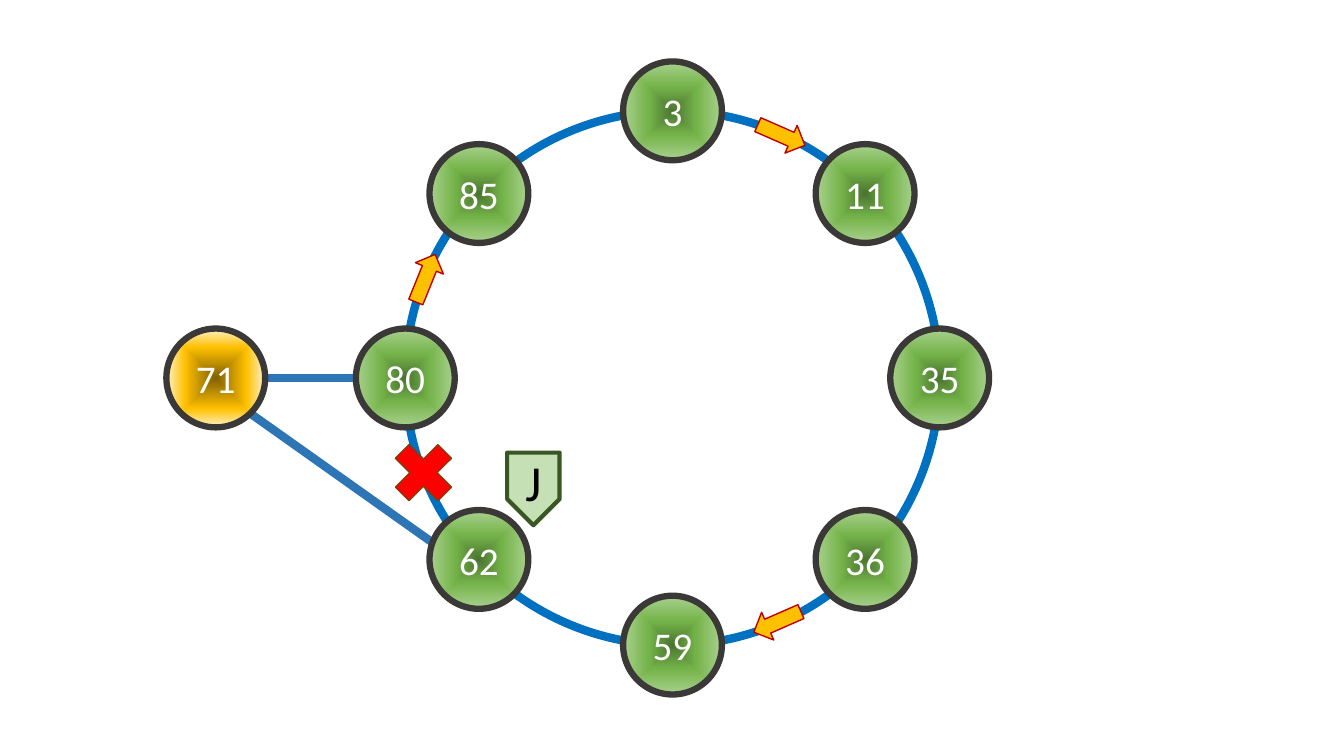
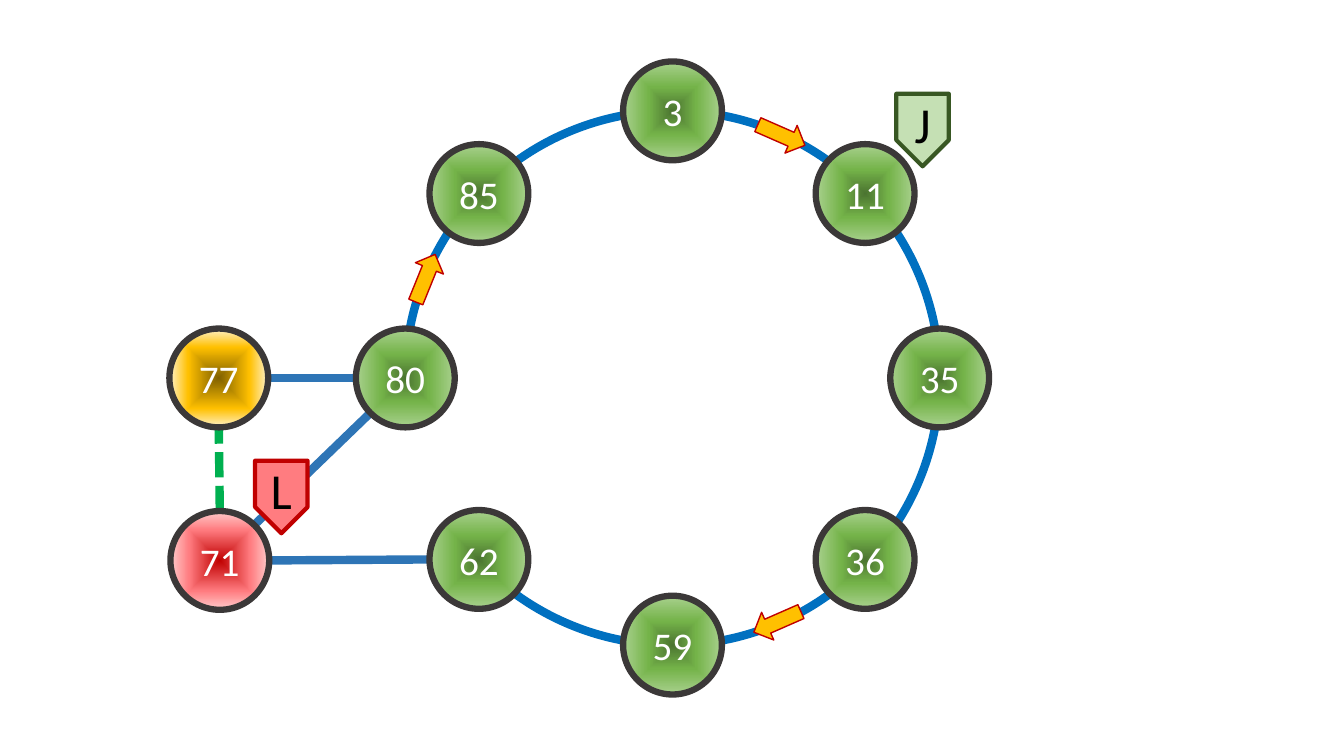
"""Two slides of a node ring: a new node joins between two neighbours."""
from lxml import etree
from pptx import Presentation
from pptx.dml.color import RGBColor
from pptx.enum import dml, shapes, text
from pptx.oxml import ns
from pptx.util import Inches, Pt

FONT = "Calibri"
WHITE = RGBColor(0xFF, 0xFF, 0xFF)
BLACK = RGBColor(0x00, 0x00, 0x00)
GREY = RGBColor(0x3B, 0x38, 0x38)
BLUE = RGBColor(0x00, 0x70, 0xC0)
STEEL = RGBColor(0x2E, 0x75, 0xB6)
GREEN = RGBColor(0x00, 0xB0, 0x50)
GOLD = RGBColor(0xFF, 0xC0, 0x00)
BRICK = RGBColor(0xC0, 0x00, 0x00)
RED = RGBColor(0xFF, 0x00, 0x00)
BROWN = RGBColor(0x84, 0x3C, 0x0B)
PINK = RGBColor(0xFF, 0x7C, 0x80)
MINT = RGBColor(0xC5, 0xE0, 0xB4)
MOSS = RGBColor(0x38, 0x57, 0x23)

LEAF = ((0, RGBColor(0x4B, 0x74, 0x30)), (48, RGBColor(0x74, 0xB3, 0x49)),
        (100, RGBColor(0xA9, 0xD1, 0x8E)))
AMBER = ((0, RGBColor(0x80, 0x60, 0x00)), (62, GOLD),
         (100, RGBColor(0xFF, 0xF2, 0xCC)))
ROSE = ((0, BRICK), (62, PINK), (100, RGBColor(0xFF, 0xCC, 0xCC)))

MID = (6.67, 3.75)
RADIUS = 2.65
NODE = 0.98
WEST, EAST, NORTH, SOUTH = 4.75, 8.58, 1.92, 5.55
NODES = (
    ("3", MID[0], MID[1] - RADIUS), ("35", MID[0] + RADIUS, MID[1]),
    ("59", MID[0], MID[1] + RADIUS), ("80", MID[0] - RADIUS, MID[1]),
    ("85", WEST, NORTH), ("11", EAST, NORTH),
    ("36", EAST, SOUTH), ("62", WEST, SOUTH),
)
ARROWS = ((7.75, 1.34, 23.7), (7.71, 6.17, 156.3), (4.22, 2.76, 292.1))
GAP = (
    (4.01, 4.25), (4.14, 4.24), (4.33, 4.4), (4.5, 4.58), (4.59, 4.77),
    (4.57, 4.92), (4.49, 5.11), (4.38, 5.21), (4.28, 5.11), (4.04, 4.86),
    (3.91, 4.71), (3.85, 4.59), (3.92, 4.46),
)


def paint(shape, fill, line, width):
    """Set fill and outline, without a shadow."""
    shape.shadow.inherit = False
    if fill is None:
        shape.fill.background()
    else:
        shape.fill.solid()
        shape.fill.fore_color.rgb = fill
    shape.line.color.rgb = line
    shape.line.width = Pt(width)


def add_form(home, kind, x, y, wide, high, fill, line, width, turn=0):
    """Add a preset shape centred on a point."""
    shape = home.add_shape(kind, Inches(x - wide / 2), Inches(y - high / 2),
                           Inches(wide), Inches(high))
    shape.rotation = turn
    paint(shape, fill, line, width)
    return shape


def write(frame, label, size, color):
    """Write one centred line of text."""
    frame.word_wrap = True
    para = frame.paragraphs[0]
    para.text = label
    para.alignment = text.PP_ALIGN.CENTER
    para.font.name = FONT
    para.font.size = Pt(size)
    para.font.color.rgb = color


def glow(shape, stops):
    """Fill an unfilled shape with a gradient from its centre outwards."""
    props = shape.element.spPr
    grad = etree.Element(ns.qn("a:gradFill"), rotWithShape="1")
    steps = etree.SubElement(grad, ns.qn("a:gsLst"))
    for pos, color in stops:
        stop = etree.SubElement(steps, ns.qn("a:gs"), pos=str(pos * 1000))
        etree.SubElement(stop, ns.qn("a:srgbClr"), val=str(color))
    way = etree.SubElement(grad, ns.qn("a:path"), {"path": "shape"})
    etree.SubElement(way, ns.qn("a:fillToRect"),
                     {side: "50000" for side in "ltrb"})
    props.replace(props.find(ns.qn("a:noFill")), grad)


def add_node(slide, label, x, y, stops=LEAF):
    """Add a numbered round node."""
    node = add_form(slide.shapes, shapes.MSO_SHAPE.OVAL, x, y, NODE, NODE,
                    None, GREY, 4.5)
    glow(node, stops)
    node.text_frame.vertical_anchor = text.MSO_ANCHOR.MIDDLE
    write(node.text_frame, label, 28, WHITE)


def add_link(slide, start, end, color=STEEL, dash=None):
    """Add a straight thick line between two points."""
    link = slide.shapes.add_connector(
        shapes.MSO_CONNECTOR.STRAIGHT, *(Inches(v) for v in (*start, *end)))
    link.line.color.rgb = color
    link.line.width = Pt(6)
    if dash:
        link.line.dash_style = dash
    etree.SubElement(link.element.spPr, ns.qn("a:effectLst"))


def add_badge(slide, label, x, y, fill, line):
    """Add a lettered tag that points down."""
    group = slide.shapes.add_group_shape().shapes
    add_form(group, shapes.MSO_SHAPE.PENTAGON, x, y, 0.72, 0.52,
             fill, line, 3, 90)
    box = group.add_textbox(Inches(x - 0.26), Inches(y - 0.42),
                            Inches(0.52), Inches(0.71))
    write(box.text_frame, label, 36, BLACK)


def add_gap(slide):
    """Blank out the ring between nodes 80 and 62."""
    first, *rest = [(Inches(x), Inches(y)) for x, y in GAP]
    pen = slide.shapes.build_freeform(*first)
    pen.add_line_segments(rest, close=True)
    paint(pen.convert_to_shape(), WHITE, WHITE, 1)


def add_ring(slide, broken=False):
    """Add the ring with its nodes and direction arrows."""
    add_form(slide.shapes, shapes.MSO_SHAPE.OVAL, *MID, 2 * RADIUS, 2 * RADIUS,
             None, BLUE, 6)
    if broken:
        add_gap(slide)
    for node in NODES:
        add_node(slide, *node)
    for x, y, turn in ARROWS:
        add_form(slide.shapes, shapes.MSO_SHAPE.RIGHT_ARROW, x, y, 0.51, 0.3,
                 GOLD, BRICK, 1, turn)


def draw_join(slide):
    """Draw node 71 as it joins between 80 and 62."""
    add_link(slide, (2.48, 4.1), (4.37, 5.44))
    add_link(slide, (2.63, 3.75), (3.53, 3.75))
    add_ring(slide)
    add_node(slide, "71", 2.14, MID[1], AMBER)
    add_badge(slide, "J", 5.29, 4.85, MINT, MOSS)
    add_form(slide.shapes, shapes.MSO_SHAPE.MATH_MULTIPLY, 4.2, 4.69,
             0.81, 0.81, RED, BROWN, 1)


def draw_next(slide):
    """Draw node 77 as it joins next to node 71."""
    add_link(slide, (2.18, 5.07), (2.17, 4.24), GREEN,
             dml.MSO_LINE.SQUARE_DOT)
    add_link(slide, (3.53, 3.75), (2.66, 3.75))
    add_link(slide, (2.67, 5.56), (4.26, 5.55))
    add_link(slide, (2.52, 5.21), (3.67, 4.1))
    add_ring(slide, broken=True)
    add_node(slide, "71", 2.18, 5.56, ROSE)
    add_node(slide, "77", 2.17, MID[1], AMBER)
    add_badge(slide, "J", 9.15, 1.29, MINT, MOSS)
    add_badge(slide, "L", 2.79, 4.93, PINK, BRICK)


def main():
    """Build and save the deck."""
    deck = Presentation()
    deck.slide_width, deck.slide_height = Inches(13.33), Inches(7.5)
    blank = deck.slide_layouts[6]
    for draw in (draw_join, draw_next):
        draw(deck.slides.add_slide(blank))
    deck.save("out.pptx")


if __name__ == "__main__":
    main()
